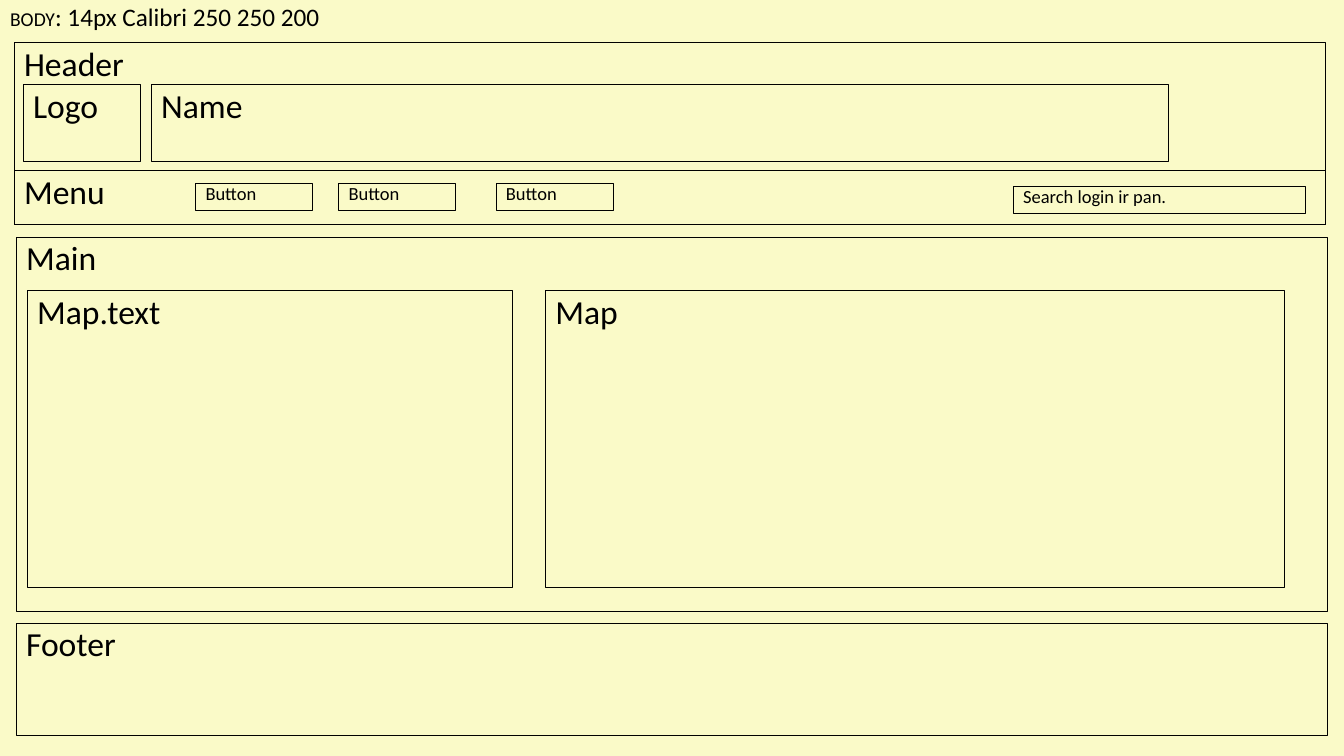
from pptx import Presentation
from pptx.dml.color import RGBColor
from pptx.enum.shapes import MSO_SHAPE
from pptx.enum.text import MSO_ANCHOR, MSO_AUTO_SIZE, PP_ALIGN
from pptx.util import Inches, Pt

RECTANGLE = MSO_SHAPE.RECTANGLE
TOP, LEFT, NO_FIT = MSO_ANCHOR.TOP, PP_ALIGN.LEFT, MSO_AUTO_SIZE.NONE
CREAM = RGBColor(250, 250, 200)
BLACK = RGBColor(0, 0, 0)
FONT = "Calibri"
WIDTH, HEIGHT = 13.33, 7.5

TITLE_RUNS = [("BODY", 14), (": 14px Calibri 250 250 200", 18)]

# Rows of the wireframe, in inches: (top, height)
HEADER_ROW = (0.42, 1.81)
BRAND_ROW = (0.84, 0.76)
MENU_ROW = (1.69, 0.54)
BUTTON_ROW = (1.82, 0.27)
SEARCH_ROW = (1.85, 0.27)
MAIN_ROW = (2.35, 3.72)
MAP_ROW = (2.88, 2.95)
FOOTER_ROW = (6.18, 1.12)
PAGE_WIDTH = 13.01
BUTTON_WIDTH = 1.16

# (label, left, width, row)
SECTIONS = [
    ("Header", 0.14, PAGE_WIDTH, HEADER_ROW),
    ("Menu", 0.14, PAGE_WIDTH, MENU_ROW),
    ("Logo", 0.23, BUTTON_WIDTH, BRAND_ROW),
    ("Name", 1.5, 10.09, BRAND_ROW),
    ("Main", 0.16, PAGE_WIDTH, MAIN_ROW),
    ("Footer", 0.16, PAGE_WIDTH, FOOTER_ROW),
    ("Map", 5.41, 7.33, MAP_ROW),
    ("Map.text", 0.27, 4.81, MAP_ROW),
]
CONTROLS = [("Button", left, BUTTON_WIDTH, BUTTON_ROW) for left in (1.94, 3.36, 4.92)]
CONTROLS.append(("Search login ir pan.", 10.05, 2.9, SEARCH_ROW))


def write_text(frame, runs, line_spacing):
    """Write (text, size) runs at the top left and return their paragraph."""
    frame.word_wrap = True
    frame.auto_size = NO_FIT
    frame.vertical_anchor = TOP
    para = frame.paragraphs[0]
    para.alignment = LEFT
    para.line_spacing = line_spacing
    para.font.name = FONT
    for text, size in runs:
        span = para.add_run()
        span.text = text
        span.font.size = Pt(size)
        span.font.color.rgb = BLACK
    return para


def add_title(page):
    title = page.shapes.title
    title.left = title.top = 0
    title.width, title.height = Inches(WIDTH), Inches(HEIGHT)
    title.fill.solid()
    title.fill.fore_color.rgb = CREAM
    write_text(title.text_frame, TITLE_RUNS, 0.9)


def add_box(page, label, left, width, row, size, line_spacing):
    top, height = row
    box = page.shapes.add_shape(
        RECTANGLE, Inches(left), Inches(top), Inches(width), Inches(height))
    box.shadow.inherit = False
    box.fill.background()
    box.line.color.rgb = BLACK
    box.line.width = Pt(0.5)
    para = write_text(box.text_frame, [(label, size)], line_spacing)
    para.space_before = Pt(10)


def main():
    deck = Presentation()
    deck.slide_width, deck.slide_height = Inches(WIDTH), Inches(HEIGHT)
    page = deck.slides.add_slide(deck.slide_layouts.get_by_name("Title Only"))
    add_title(page)
    for section in SECTIONS:
        add_box(page, *section, size=24, line_spacing=0.9)
    for control in CONTROLS:
        add_box(page, *control, size=13.2, line_spacing=0.7)
    deck.save("out.pptx")


if __name__ == "__main__":
    main()
